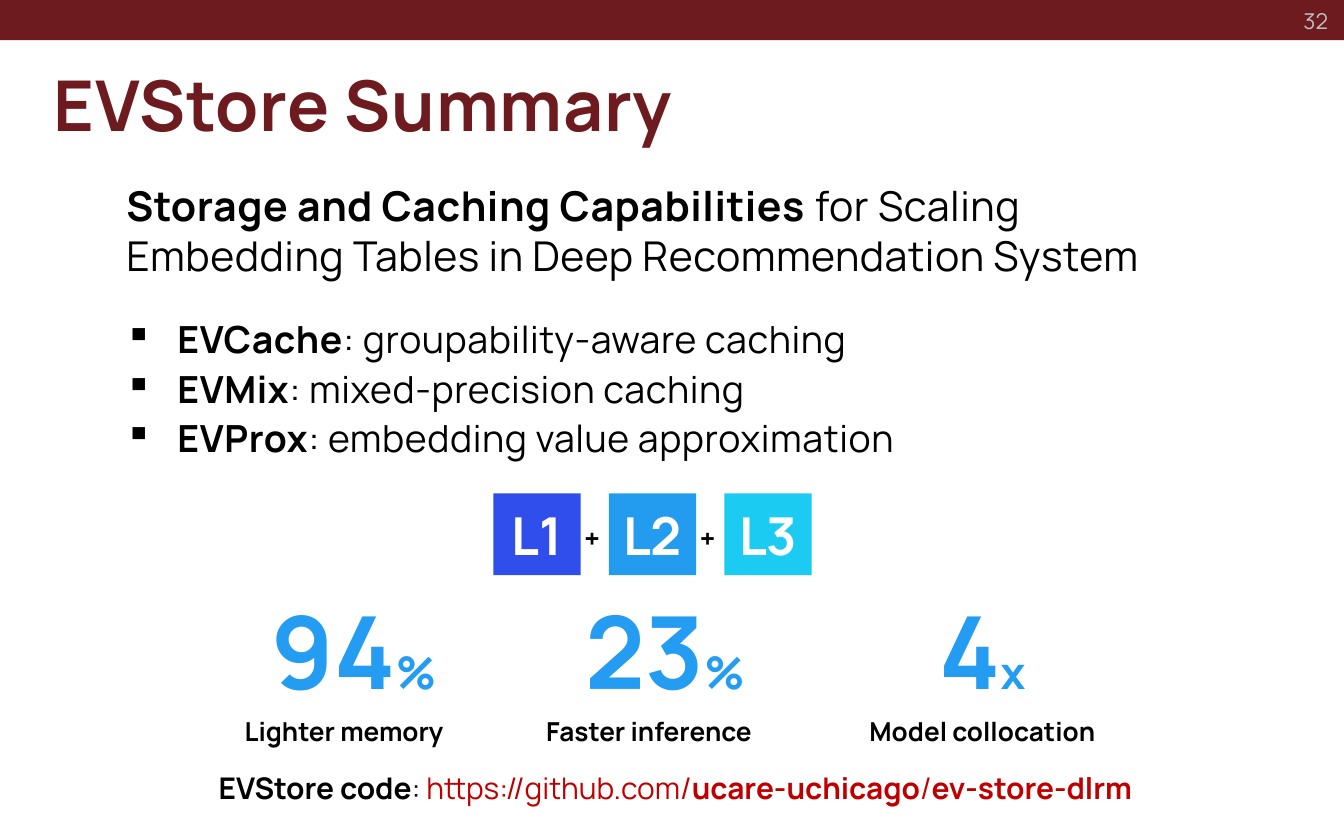
from lxml import etree
from pptx import Presentation
from pptx.dml.color import RGBColor
from pptx.enum.shapes import MSO_SHAPE
from pptx.enum.text import MSO_ANCHOR, PP_ALIGN
from pptx.oxml.ns import qn
from pptx.util import Inches, Pt

RECT = MSO_SHAPE.RECTANGLE
TOP, MIDDLE = MSO_ANCHOR.TOP, MSO_ANCHOR.MIDDLE
LEFT, CENTER, RIGHT = PP_ALIGN.LEFT, PP_ALIGN.CENTER, PP_ALIGN.RIGHT
FONT, SIGN_FONT = "Manrope", "Cabin"
COLORS = {
    "maroon": "6D1B1F", "gray": "BFBFBF", "black": "000000", "white": "FFFFFF",
    "L1": "304EEC", "L2": "239CF0", "L3": "1BCBF1", "stat": "239CF1", "link": "C00000",
}

TITLE = "EVStore Summary"
NUMBER = "32"
# Runs are (text, bold)
LEAD = [("Storage and Caching Capabilities ", True),
        ("for Scaling Embedding Tables in Deep Recommendation System", False)]
PARTS = [("EVCache", "groupability-aware caching"),
         ("EVMix", "mixed-precision caching"),
         ("EVProx", "embedding value approximation")]
LAYERS = ["L1", "L2", "L3"]
# Value, unit, label, centre of the label, indent of the value
STATS = [("94", "%", "Lighter memory", 2.56, 0.15),
         ("23", "%", "Faster inference", 4.83, 0.24),
         ("4", "x", "Model collocation", 7.31, 0)]
# Text, bold, colour
CODE = [("EVStore code", True, "black"), (": ", False, "black"),
        ("https://github.com/", False, "link"), ("ucare-uchicago", True, "link"),
        ("/", False, "link"), ("ev-store-dlrm", True, "link")]


def rgb(name):
    return RGBColor.from_string(COLORS[name])


def add_box(slide, x, y, w, h, anchor=TOP, wrap=True):
    box = slide.shapes.add_textbox(Inches(x), Inches(y), Inches(w), Inches(h))
    frame = box.text_frame
    frame.word_wrap = wrap
    frame.vertical_anchor = anchor
    return frame


def add_rect(slide, x, y, w, h, color):
    rect = slide.shapes.add_shape(RECT, Inches(x), Inches(y), Inches(w), Inches(h))
    rect.shadow.inherit = False
    rect.fill.solid()
    rect.fill.fore_color.rgb = rgb(color)
    rect.line.fill.background()
    return rect


def style(para, size, color="black", bold=None, align=LEFT, font=FONT):
    para.alignment = align
    para.font.name = font
    para.font.size = Pt(size)
    para.font.bold = bold
    para.font.color.rgb = rgb(color)


def add_run(para, text, bold=None, track=0):
    """Add a run; track is letter spacing in hundredths of a point."""
    run = para.add_run()
    run.text = text
    if bold is not None:
        run.font.bold = bold
    if track:
        run.font._element.set("spc", str(track))
    return run


def indent(para, left, hang=0):
    props = para._p.get_or_add_pPr()
    props.set("marL", str(Inches(left)))
    props.set("indent", str(-Inches(hang)))
    return props


def add_header(slide):
    add_rect(slide, 0, 0, 10, 0.3, "maroon")
    para = add_box(slide, 0.3, 0.25, 9.43, 1.04, MIDDLE).paragraphs[0]
    add_run(para, TITLE, track=40)
    style(para, 37.5, "maroon", True)
    para = add_box(slide, 9.1, -0.01, 0.88, 0.33, MIDDLE).paragraphs[0]
    para.text = NUMBER
    style(para, 11.7, "gray", align=RIGHT)


def add_body(slide):
    frame = add_box(slide, 0.27, 1.03, 8.94, 2.71, MIDDLE)
    frame.margin_left = frame.margin_right = Inches(0.23)
    para = frame.paragraphs[0]
    indent(para, 0.44)
    for text, bold in LEAD:
        add_run(para, text, bold, 30)
    style(para, 22)
    for i, (name, detail) in enumerate(PARTS):
        para = frame.add_paragraph()
        para.space_before = Pt(2.5 if i else 20)
        props = indent(para, 0.82, 0.39)
        etree.SubElement(props, qn("a:buChar")).set("char", "▪")
        add_run(para, name, True, 30)
        add_run(para, ": " + detail, False, 30)
        style(para, 20)


def add_layers(slide):
    left, top, wide, high, step = 3.67, 3.67, 0.65, 0.61, 0.86
    for i, name in enumerate(LAYERS):
        x = left + i * step
        if i:
            para = add_box(slide, x - 0.28, top + 0.11, 0.37, 0.4, wrap=False).paragraphs[0]
            para.text = "+"
            style(para, 18, font=SIGN_FONT)
        rect = add_rect(slide, x, top, wide, high, name)
        frame = rect.text_frame
        frame.margin_left = frame.margin_right = 0
        frame.vertical_anchor = MIDDLE
        frame.paragraphs[0].text = name
        style(frame.paragraphs[0], 28, "white", True, CENTER)


def add_stats(slide):
    wide = 2.2
    for value, unit, label, mid, shift in STATS:
        frame = add_box(slide, mid - wide / 2, 4.33, wide, 1.32)
        para = frame.paragraphs[0]
        indent(para, shift)
        para.space_after = Pt(3)
        add_run(para, value)
        add_run(para, unit).font.size = Pt(24)
        style(para, 54, "stat", True, CENTER)
        para = frame.add_paragraph()
        para.text = label
        style(para, 14, bold=True, align=CENTER)


def add_code(slide):
    para = add_box(slide, 1.42, 5.68, 7.21, 0.37, wrap=False).paragraphs[0]
    for text, bold, color in CODE:
        add_run(para, text, bold).font.color.rgb = rgb(color)
    style(para, 16, align=CENTER)


def main():
    deck = Presentation()
    deck.slide_width, deck.slide_height = Inches(10), Inches(6.25)
    slide = deck.slides.add_slide(deck.slide_layouts[6])
    add_header(slide)
    add_body(slide)
    add_layers(slide)
    add_stats(slide)
    add_code(slide)
    deck.save("out.pptx")


if __name__ == "__main__":
    main()
